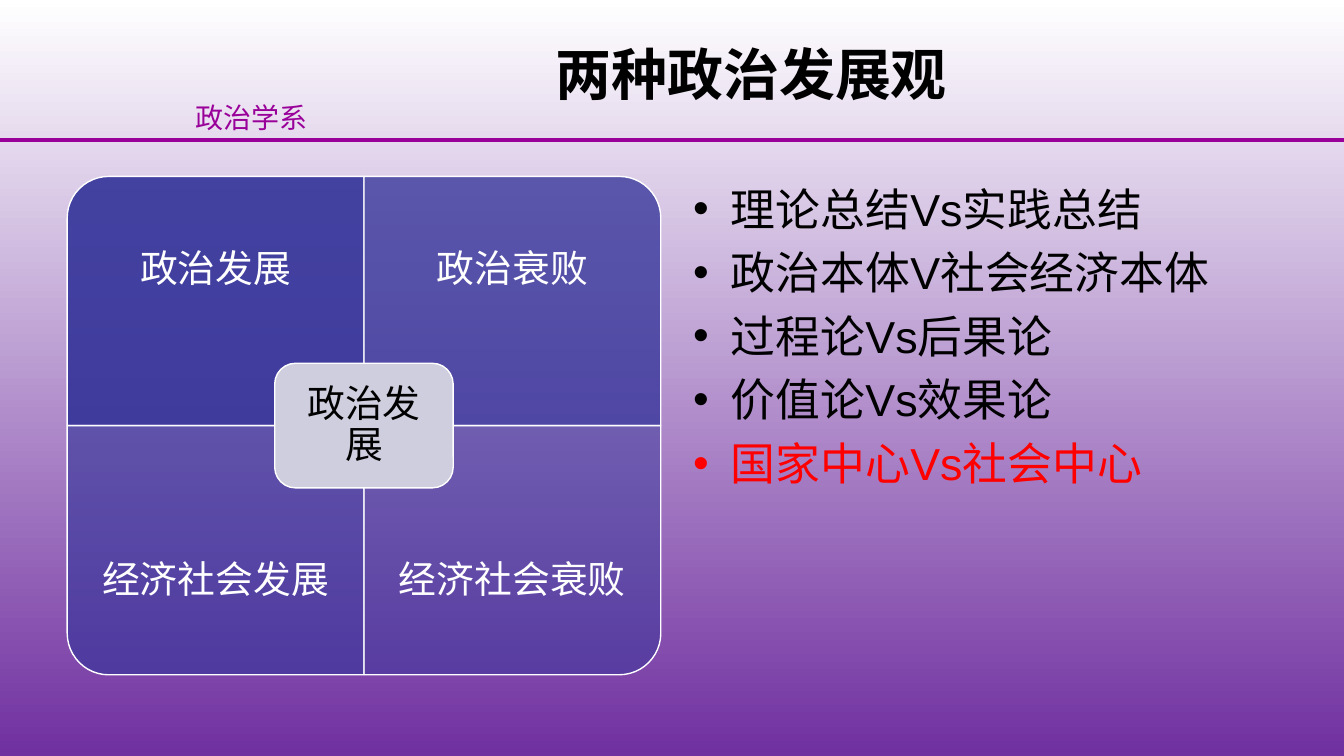
"""Build a slide that contrasts two views of political development."""
import lxml.etree
import pptx
import pptx.dml.color
import pptx.enum.shapes
import pptx.enum.text
import pptx.oxml.ns
import pptx.util

Pt = pptx.util.Pt
SHAPE = pptx.enum.shapes.MSO_SHAPE
ANCHOR = pptx.enum.text.MSO_ANCHOR
ALIGN = pptx.enum.text.PP_ALIGN
COLORS = {"black": "000000", "white": "FFFFFF", "red": "FF0000", "rule": "990099",
          "tile": "333399", "center": "CECEDE", "dusk": "7030A0"}
SLIDE_W, SLIDE_H = 960, 540
CENTER_X, CENTER_Y = 260, 304
TILE_W, TILE_H = 212, 178
LABEL_H = 134
TILES = [("政治发展", -1, -1, 270, 90), ("政治衰败", 1, -1, 0, 77),
         ("经济社会发展", -1, 1, 180, 63), ("经济社会衰败", 1, 1, 90, 50)]
CONTRASTS = [("理论总结Vs实践总结", "black"), ("政治本体V社会经济本体", "black"),
             ("过程论Vs后果论", "black"), ("价值论Vs效果论", "black"),
             ("国家中心Vs社会中心", "red")]


def rgb(name):
    return pptx.dml.color.RGBColor.from_string(COLORS[name])


def add_xml(parent, tag, **attributes):
    return lxml.etree.SubElement(parent, pptx.oxml.ns.qn(tag), attributes)


def apply(target, **values):
    for name, value in values.items():
        setattr(target, name, value)


def set_frame(frame, inset_x, inset_y, anchor):
    apply(frame, word_wrap=True, vertical_anchor=anchor,
          margin_left=Pt(inset_x), margin_right=Pt(inset_x),
          margin_top=Pt(inset_y), margin_bottom=Pt(inset_y))


def write(para, text, size, color, bold=False, **layout):
    apply(para, **layout)
    span = para.add_run()
    span.text = text
    apply(span.font, name="Arial", size=Pt(size), bold=bold)
    span.font.color.rgb = rgb(color)


def add_box(page, left, top, width, height, inset_x=7.2, inset_y=3.6, anchor=ANCHOR.TOP):
    box = page.shapes.add_textbox(Pt(left), Pt(top), Pt(width), Pt(height))
    set_frame(box.text_frame, inset_x, inset_y, anchor)
    return box.text_frame


def add_panel(page, kind, center_x, center_y, width, height, color):
    panel = page.shapes.add_shape(kind, Pt(center_x - width / 2), Pt(center_y - height / 2),
                                  Pt(width), Pt(height))
    panel.shadow.inherit = False
    panel.fill.solid()
    panel.fill.fore_color.rgb = rgb(color)
    panel.line.color.rgb = rgb("white")
    panel.line.width = Pt(1)
    return panel


def add_tile(page, text, side_x, side_y, rotation, opacity):
    center_x = CENTER_X + side_x * TILE_W / 2
    center_y = CENTER_Y + side_y * TILE_H / 2
    size = (TILE_H, TILE_W) if rotation % 180 else (TILE_W, TILE_H)
    tile = add_panel(page, SHAPE.ROUND_1_RECTANGLE, center_x, center_y, *size, "tile")
    tile.rotation = rotation
    fill_color = tile.fill._xPr.find(".//" + pptx.oxml.ns.qn("a:srgbClr"))
    add_xml(fill_color, "a:alpha", val=str(opacity * 1000))
    label_y = CENTER_Y + side_y * (TILE_H - LABEL_H / 2)
    frame = add_box(page, center_x - TILE_W / 2, label_y - LABEL_H / 2, TILE_W, LABEL_H,
                    15, 15, ANCHOR.MIDDLE)
    write(frame.paragraphs[0], text, 27, "white", alignment=ALIGN.CENTER, line_spacing=0.9)


def add_center(page):
    panel = add_panel(page, SHAPE.ROUNDED_RECTANGLE, CENTER_X, CENTER_Y, 127.5, 89, "center")
    set_frame(panel.text_frame, 8, 8, ANCHOR.MIDDLE)
    write(panel.text_frame.paragraphs[0], "政治发展", 27, "black",
          alignment=ALIGN.CENTER, line_spacing=0.9)


def add_contrasts(page):
    frame = add_box(page, 488, 126, 424, 356)
    for index, (text, color) in enumerate(CONTRASTS):
        para = frame.add_paragraph() if index else frame.paragraphs[0]
        layout = para._p.get_or_add_pPr()
        layout.set("marL", str(Pt(27)))
        layout.set("indent", str(Pt(-27)))
        add_xml(layout, "a:buFont", typeface="Arial")
        add_xml(layout, "a:buChar", char="•")
        write(para, text, 32, color, space_before=Pt(7 if index else 0))


def add_rule(page):
    rule = page.shapes.add_connector(pptx.enum.shapes.MSO_CONNECTOR.STRAIGHT,
                                     Pt(0), Pt(100), Pt(SLIDE_W), Pt(100))
    rule.line.color.rgb = rgb("rule")
    rule.line.width = Pt(2.25)
    add_xml(rule._element.spPr, "a:effectLst")


def paint_background(page):
    fill = page.background.fill
    fill.gradient()
    fill.gradient_angle = 270
    for stop, color, position in zip(fill.gradient_stops, ("white", "dusk"), (0, 1)):
        stop.color.rgb = rgb(color)
        stop.position = position


def main():
    deck = pptx.Presentation()
    apply(deck, slide_width=Pt(SLIDE_W), slide_height=Pt(SLIDE_H))
    page = deck.slides.add_slide(deck.slide_layouts[6])
    paint_background(page)
    department = add_box(page, 139.5, 68.5, 113, 31, inset_x=0)
    write(department.paragraphs[0], "政治学系", 20, "rule")
    add_rule(page)
    title = add_box(page, 238, 21.5, 597, 61, anchor=ANCHOR.MIDDLE)
    write(title.paragraphs[0], "两种政治发展观", 40, "black", bold=True, alignment=ALIGN.CENTER)
    for tile in TILES:
        add_tile(page, *tile)
    add_center(page)
    add_contrasts(page)
    deck.save("out.pptx")


if __name__ == "__main__":
    main()
